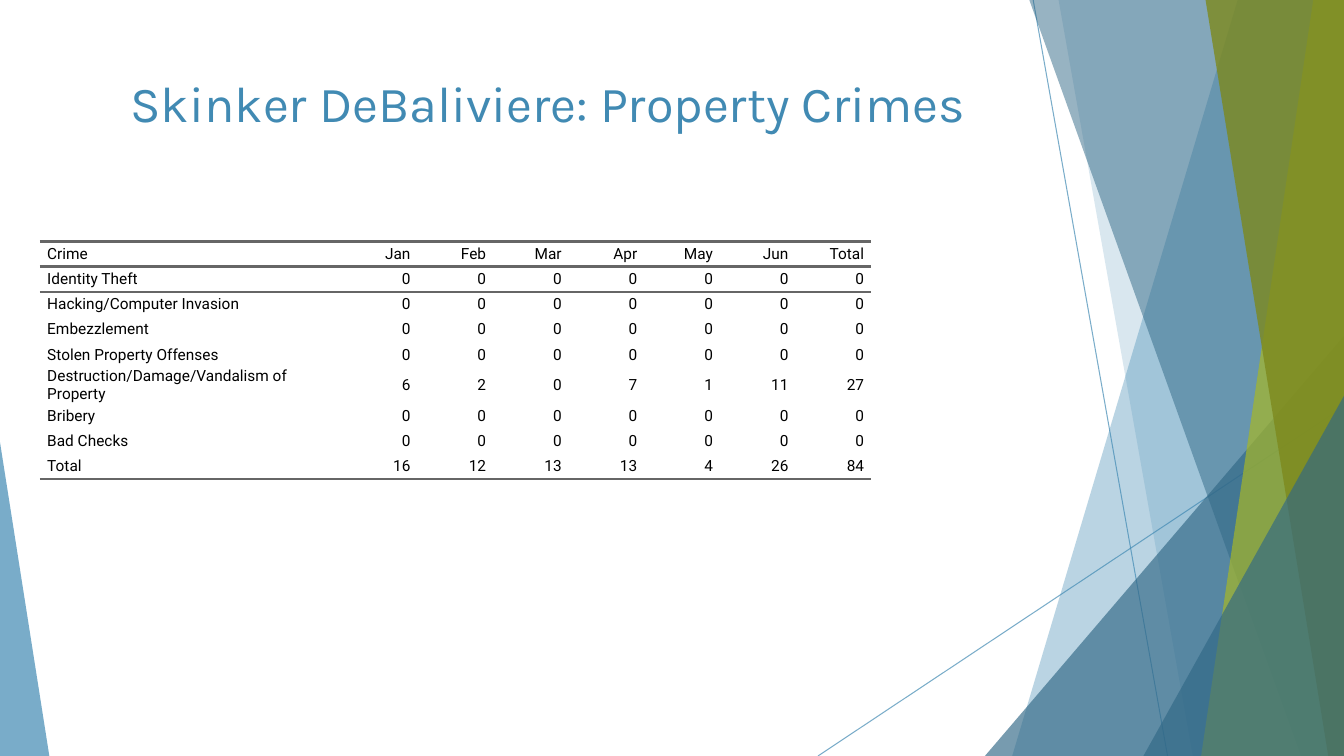
from pptx import Presentation
from pptx import util as u
from pptx.dml.color import RGBColor
from pptx.enum import shapes, text
from pptx.oxml.ns import qn
from lxml import etree

PX = 9525
BLUE = RGBColor(0x41, 0x8A, 0xB3)
NAVY = RGBColor(0x31, 0x68, 0x86)
LIME = RGBColor(0xA6, 0xB7, 0x27)
OLIVE = RGBColor(0x7D, 0x89, 0x1D)
GRAY = RGBColor(0x66, 0x66, 0x66)
BLACK = RGBColor(0, 0, 0)
NO_STYLE = "{2D5ABB26-0587-4C30-8999-92F81FD0307C}"

HEADERS = ["Crime", "Jan", "Feb", "Mar", "Apr", "May", "Jun", "Total"]
CRIMES = [
    ("Identity Theft", [0] * 7),
    ("Hacking/Computer Invasion", [0] * 7),
    ("Embezzlement", [0] * 7),
    ("Stolen Property Offenses", [0] * 7),
    ("Destruction/Damage/Vandalism of Property", [6, 2, 0, 7, 1, 11, 27]),
    ("Bribery", [0] * 7),
    ("Bad Checks", [0] * 7),
    ("Total", [16, 12, 13, 13, 4, 26, 84]),
]


def emu(*lengths):
    return [u.Emu(n * PX) for n in lengths]


def set_alpha(sp, percent):
    for clr in sp._element.spPr.iter(qn("a:srgbClr")):
        etree.SubElement(clr, qn("a:alpha")).set("val", str(percent * 1000))


def paint(sp, color, percent):
    sp.shadow.inherit = False
    sp.fill.solid()
    sp.fill.fore_color.rgb = color
    sp.line.fill.background()
    set_alpha(sp, percent)


def add_ray(s, x1, y1, x2, y2):
    ray = s.shapes.add_connector(shapes.MSO_CONNECTOR.STRAIGHT, *emu(x1, y1, x2, y2))
    ray.line.color.rgb = BLUE
    ray.line.width = u.Pt(0.75)
    set_alpha(ray, 70)
    etree.SubElement(ray._element.spPr, qn("a:effectLst"))


def add_triangle(s, box, apex, color, percent):
    sp = s.shapes.add_shape(shapes.MSO_SHAPE.ISOSCELES_TRIANGLE, *emu(*box))
    sp.adjustments[0] = apex
    paint(sp, color, percent)


def add_band(s, box, top, bottom, color, percent):
    x, y, w, h = box
    builder = s.shapes.build_freeform(x + top, y - 1, scale=PX)
    builder.add_line_segments(
        [(x + w, y - 1), (x + w, y + h), (x + bottom, y + h)], close=True)
    paint(builder.convert_to_shape(), color, percent)


def add_facets(s, box):
    x, y, w, h = box

    def add_corner(left, top):
        add_triangle(s, (x + left, y + top, w - left, h - top), 1, NAVY, 66)

    add_ray(s, x + 205, y, x + 333, y + h)
    add_ray(s, x + w, y + 387, x, y + h)
    add_band(s, box, 400, 185, BLUE, 36)
    add_band(s, box, 229, 357, BLUE, 20)
    add_corner(159, 320)
    add_band(s, box, 201, 460, NAVY, 50)
    add_band(s, box, 472, 365, LIME, 70)
    add_band(s, box, 369, 486, OLIVE, 80)
    add_corner(310, 377)


def add_text(tf, words, font, size, color, align):
    p = tf.paragraphs[0]
    p.alignment = align
    r = p.add_run()
    r.text = words
    r.font.name = font
    r.font.size = u.Pt(size)
    r.font.color.rgb = color
    return p


def add_title(s, box):
    tf = s.shapes.add_textbox(*emu(*box)).text_frame
    tf.word_wrap = True
    add_text(tf, "Skinker DeBaliviere: Property Crimes", "Karla", 36, BLUE,
             text.PP_ALIGN.CENTER)


def add_border(cell, side):
    ln = etree.SubElement(cell._tc.get_or_add_tcPr(), qn(f"a:{side}"), w=str(u.Pt(2)))
    fill = etree.SubElement(ln, qn("a:solidFill"))
    etree.SubElement(fill, qn("a:srgbClr")).set("val", str(GRAY))


def fill_cell(cell, words, align, sides):
    cell.margin_left = cell.margin_right = cell.margin_top = cell.margin_bottom = 0
    cell.vertical_anchor = text.MSO_ANCHOR.MIDDLE
    for side in sides:
        add_border(cell, side)
    cell.fill.background()
    p = add_text(cell.text_frame, words, "Roboto", 11, BLACK, align)
    p.space_after = u.Pt(5)
    pPr = p._p.get_or_add_pPr()
    for name in ("marL", "marR"):
        pPr.set(name, str(7 * PX))
    pPr.set("indent", "0")


def add_crime_table(s, box):
    rows = [HEADERS] + [[crime, *counts] for crime, counts in CRIMES]
    x, y, w, h = box
    month_w = 72
    tbl = s.shapes.add_table(len(rows), len(HEADERS), *emu(x, y, w, h)).table
    tbl.first_row = tbl.horz_banding = False
    tbl._tbl.tblPr.find(qn("a:tableStyleId")).text = NO_STYLE
    for i, col in enumerate(tbl.columns):
        col.width = u.Emu((month_w if i else w - month_w * (len(HEADERS) - 1)) * PX)
    for i, row in enumerate(rows):
        tbl.rows[i].height = u.Emu(h // len(rows) * PX)
        sides = {0: ["lnT", "lnB"], 1: ["lnT"], len(rows) - 1: ["lnB"]}.get(i, [])
        for j, value in enumerate(row):
            align = text.PP_ALIGN.RIGHT if j else text.PP_ALIGN.LEFT
            fill_cell(tbl.cell(i, j), str(value), align, sides)


def main():
    prs = Presentation()
    prs.slide_width, prs.slide_height = emu(1280, 720)
    s = prs.slides.add_slide(prs.slide_layouts[6])
    add_facets(s, (779, 0, 501, 720))
    add_triangle(s, (0, 421, 47, 299), 0, BLUE, 70)
    add_crime_table(s, (38, 230, 792, 216))
    add_title(s, (71, 64, 902, 138))
    prs.save("out.pptx")


if __name__ == "__main__":
    main()
